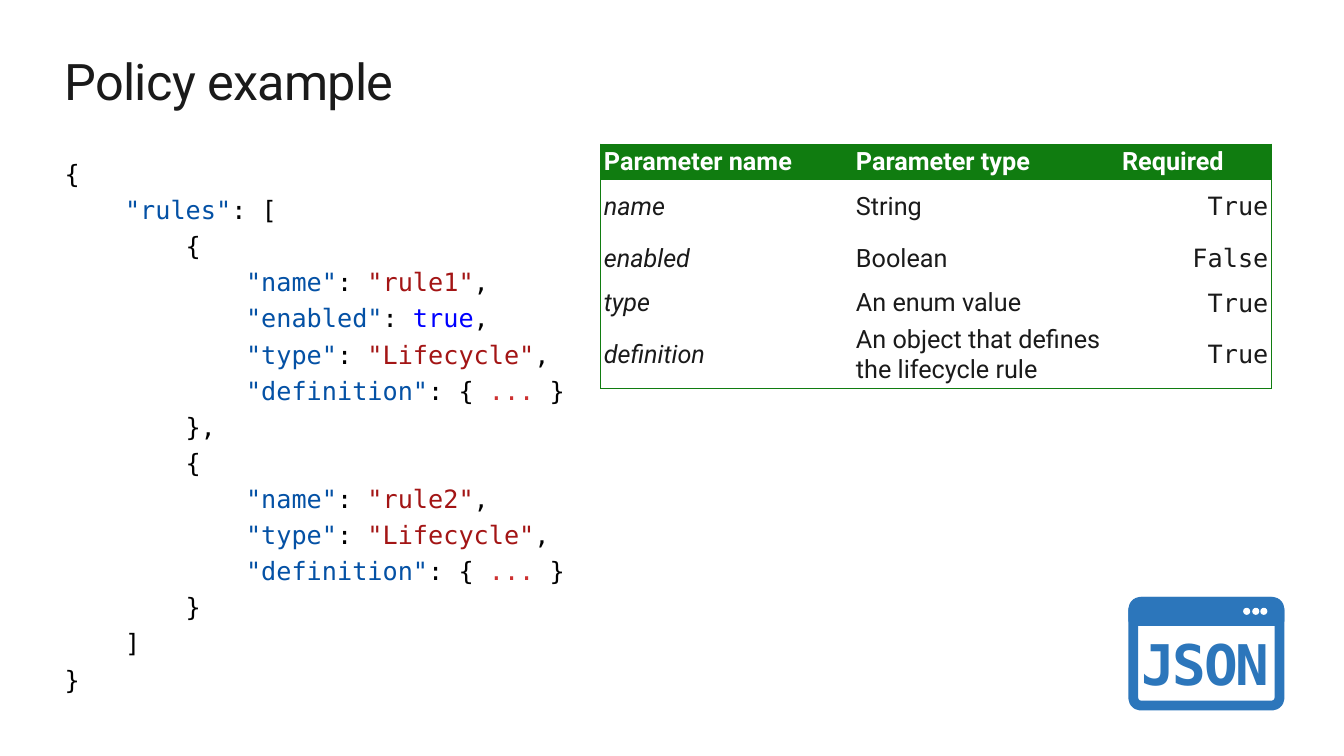
from lxml import etree
from pptx import Presentation
from pptx.dml.color import RGBColor
from pptx.enum.shapes import MSO_SHAPE
from pptx.enum.text import MSO_ANCHOR, MSO_AUTO_SIZE, PP_ALIGN
from pptx.oxml.ns import qn
from pptx.util import Inches, Pt

LEFT, CENTER, RIGHT = PP_ALIGN.LEFT, PP_ALIGN.CENTER, PP_ALIGN.RIGHT
TOP, MIDDLE = MSO_ANCHOR.TOP, MSO_ANCHOR.MIDDLE
FIT_SHAPE = MSO_AUTO_SIZE.SHAPE_TO_FIT_TEXT
ROUND, ROUND_TOP, OVAL = MSO_SHAPE.ROUNDED_RECTANGLE, MSO_SHAPE.ROUND_2_SAME_RECTANGLE, MSO_SHAPE.OVAL

WHITE = RGBColor(0xFF, 0xFF, 0xFF)
BLACK = RGBColor(0x00, 0x00, 0x00)
INK = RGBColor(0x1A, 0x1A, 0x1A)
GREEN = RGBColor(0x10, 0x7C, 0x10)
ICON_BLUE = RGBColor(0x2C, 0x76, 0xBB)
KEY = RGBColor(0x04, 0x51, 0xA5)
STRING = RGBColor(0xA3, 0x15, 0x15)
LITERAL = RGBColor(0x00, 0x00, 0xFF)
DOTS = RGBColor(0xCD, 0x31, 0x31)
SANS, MONO = "Roboto", "DejaVu Sans Mono"
NO_STYLE = "{2D5ABB26-0587-4C30-8999-92F81FD0307C}"


def add_run(p, text, size, font, color, bold=False, italic=False, spacing=0):
    r = p.add_run()
    r.text = text
    r.font.size, r.font.name, r.font.color.rgb = Pt(size), font, color
    r.font.bold, r.font.italic = bold, italic
    if spacing:
        r.font._element.set("spc", str(spacing))


def set_frame(tf, anchor, wrap=True):
    tf.margin_left = tf.margin_right = tf.margin_top = tf.margin_bottom = 0
    tf.vertical_anchor = anchor
    tf.word_wrap = wrap


prs = Presentation()
prs.slide_width, prs.slide_height = Inches(13.33), Inches(7.5)
s = prs.slides.add_slide(prs.slide_layouts[1])

title = s.shapes.title
title.left, title.top, title.width, title.height = Inches(0.64), Inches(0.5), Inches(12.05), Inches(0.61)
set_frame(title.text_frame, TOP)
title.text_frame.auto_size = FIT_SHAPE
p = title.text_frame.paragraphs[0]
p.alignment = LEFT
add_run(p, "Policy example", 36, SANS, INK, spacing=-50)

lifecycle = [('"type"', KEY), (": ", BLACK), ('"Lifecycle"', STRING), (",", BLACK)]
definition = [('"definition"', KEY), (": { ", BLACK), ("...", DOTS), (" }", BLACK)]
code_lines = [
    (0, [("{", BLACK)]),
    (1, [('"rules"', KEY), (": [", BLACK)]),
    (2, [("{", BLACK)]),
    (3, [('"name"', KEY), (": ", BLACK), ('"rule1"', STRING), (",", BLACK)]),
    (3, [('"enabled"', KEY), (": ", BLACK), ("true", LITERAL), (",", BLACK)]),
    (3, lifecycle),
    (3, definition),
    (2, [("},", BLACK)]),
    (2, [("{", BLACK)]),
    (3, [('"name"', KEY), (": ", BLACK), ('"rule2"', STRING), (",", BLACK)]),
    (3, lifecycle),
    (3, definition),
    (2, [("}", BLACK)]),
    (1, [("]", BLACK)]),
    (0, [("}", BLACK)]),
]
body = s.placeholders[1]
body.left, body.top, body.width, body.height = Inches(0.64), Inches(1.57), Inches(12.05), Inches(2.09)
tf = body.text_frame
set_frame(tf, TOP)
tf.auto_size = FIT_SHAPE
for i, (depth, tokens) in enumerate(code_lines):
    p = tf.paragraphs[0] if i == 0 else tf.add_paragraph()
    p.alignment = LEFT
    p.space_before = Pt(4.2)
    pPr = p._p.get_or_add_pPr()
    pPr.set("marL", str(Inches(0.6 * depth)))
    pPr.set("indent", "0")
    etree.SubElement(pPr, qn("a:buNone"))
    for text, color in tokens:
        add_run(p, text, 18, MONO, color)

rows = [
    ("Parameter name", "Parameter type", "Required"),
    ("name", "String", "True"),
    ("enabled", "Boolean", "False"),
    ("type", "An enum value", "True"),
    ("definition", "An object that defines the lifecycle rule", "True"),
]
frame = s.shapes.add_table(5, 3, Inches(5.96), Inches(1.43), Inches(6.65), Inches(2.39))
table = frame.table
table._tbl.tblPr.find(qn("a:tableStyleId")).text = NO_STYLE
table.horz_banding = False
for column, width in zip(table.columns, (2.5, 2.64, 1.51)):
    column.width = Inches(width)
for row, height in zip(table.rows, (0.36, 0.52, 0.52, 0.36, 0.63)):
    row.height = Inches(height)
for i, values in enumerate(rows):
    for j, value in enumerate(values):
        cell = table.cell(i, j)
        cell.margin_left = cell.margin_right = cell.margin_top = cell.margin_bottom = Inches(0.03)
        cell.vertical_anchor = MIDDLE
        tcPr = cell._tc.get_or_add_tcPr()
        edges = (("a:lnL", j == 0), ("a:lnR", j == 2), ("a:lnT", i == 0), ("a:lnB", i == 4))
        for tag, outer in edges:
            if outer:
                ln = etree.SubElement(tcPr, qn(tag), w=str(Pt(0.75)))
                fill = etree.SubElement(ln, qn("a:solidFill"))
                etree.SubElement(fill, qn("a:srgbClr"), val=str(GREEN))
        p = cell.text_frame.paragraphs[0]
        if i == 0:
            cell.fill.solid()
            cell.fill.fore_color.rgb = GREEN
            add_run(p, value, 18, SANS, WHITE, bold=True)
        else:
            cell.fill.background()
            p.alignment = RIGHT if j == 2 else LEFT
            add_run(p, value, 18, MONO if j == 2 else SANS, INK, italic=j == 0)

icon = s.shapes.add_group_shape()
window_parts = [
    (ROUND, 11.24, 5.97, 1.45, 1.03, WHITE, (0.07,)),
    (ROUND_TOP, 11.24, 5.97, 1.45, 0.19, ICON_BLUE, (0.45, 0)),
]
window_parts += [(OVAL, x, 6.03, 0.07, 0.07, WHITE, ()) for x in (12.33, 12.42, 12.5)]
for kind, x, y, w, h, color, adjustments in window_parts:
    sp = icon.shapes.add_shape(kind, Inches(x), Inches(y), Inches(w), Inches(h))
    sp.shadow.inherit = False
    sp.fill.solid()
    sp.fill.fore_color.rgb = color
    for k, value in enumerate(adjustments):
        sp.adjustments[k] = value
    if kind == OVAL:
        sp.line.fill.background()
    else:
        sp.line.color.rgb = ICON_BLUE
        sp.line.width = Pt(7)

label = icon.shapes.add_textbox(Inches(11.24), Inches(6.16), Inches(1.43), Inches(0.83))
set_frame(label.text_frame, MIDDLE, wrap=False)
p = label.text_frame.paragraphs[0]
p.alignment = CENTER
add_run(p, "JSON", 40, MONO, ICON_BLUE, bold=True, spacing=-150)

prs.save("out.pptx")
